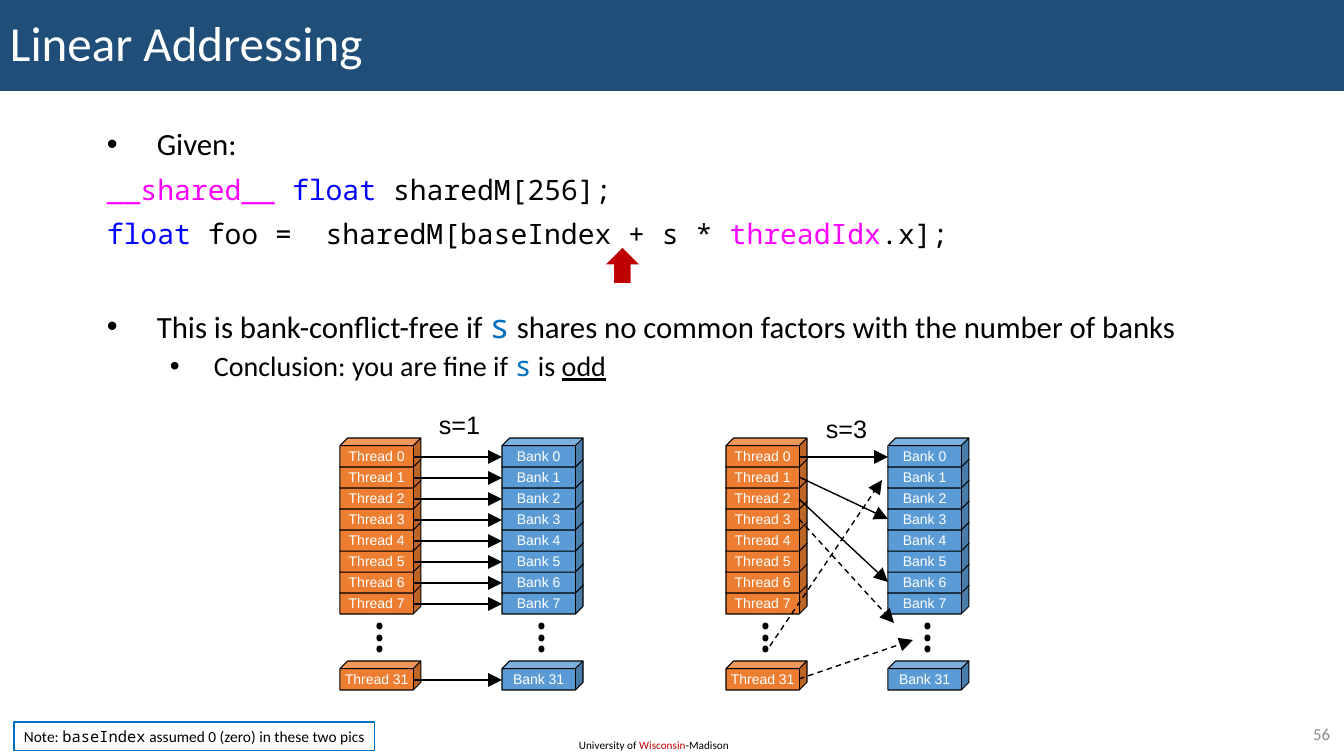
import pptx
import pptx.util
import pptx.dml.color
import pptx.enum.dml
import pptx.enum.shapes
import pptx.enum.text
import pptx.oxml.ns
import lxml.etree

PX = 12192000 / 1344
COLORS = {
    "navy": "1F4E79", "white": "FFFFFF", "black": "000000", "red": "C00000",
    "magenta": "FF00FF", "keyword": "0000FF", "accent": "0070C0",
    "thread": "ED7D31", "bank": "5B9BD5", "gray": "8C8C8C",
}
SANS, MONO, LABEL = "Calibri", "Noto Sans Mono", "Arial"
SHAPES = pptx.enum.shapes.MSO_SHAPE
ALIGN = pptx.enum.text.PP_ALIGN
MIDDLE = pptx.enum.text.MSO_ANCHOR.MIDDLE

presentation = pptx.Presentation()
presentation.slide_width = pptx.util.Emu(round(1344 * PX))
presentation.slide_height = pptx.util.Emu(round(756 * PX))
slide = presentation.slides.add_slide(presentation.slide_layouts[6])


def add_box(kind, left, top, width, height, fill=None, line=None):
    box = [round(value * PX) for value in (left, top, width, height)]
    if kind is None:
        shape = slide.shapes.add_textbox(*box)
    else:
        shape = slide.shapes.add_shape(kind, *box)
        shape.shadow.inherit = False
    if fill:
        shape.fill.solid()
        shape.fill.fore_color.rgb = pptx.dml.color.RGBColor.from_string(COLORS[fill])
    else:
        shape.fill.background()
    if line:
        shape.line.color.rgb = pptx.dml.color.RGBColor.from_string(COLORS[line])
        shape.line.width = pptx.util.Pt(0.75)
    else:
        shape.line.fill.background()
    shape.text_frame.word_wrap = True
    return shape


def add_runs(paragraph, runs, align=ALIGN.LEFT):
    paragraph.alignment = align
    for text, size, font, color in runs:
        run = paragraph.add_run()
        run.text = text
        run.font.size = pptx.util.Pt(size)
        run.font.name = font
        run.font.color.rgb = pptx.dml.color.RGBColor.from_string(COLORS[color])


footer = add_box(None, 569, 733, 174, 24)
add_runs(footer.text_frame.paragraphs[0], [
    ("University of ", 8, SANS, "black"),
    ("Wisconsin", 8, SANS, "red"),
    ("-Madison", 8, SANS, "black"),
])

title = add_box(SHAPES.RECTANGLE, 0, 0, 1344, 91, "navy")
title.text_frame.vertical_anchor = MIDDLE
title.text_frame.paragraphs[0].line_spacing = 0.9
add_runs(title.text_frame.paragraphs[0], [("Linear Addressing", 35, SANS, "white")])

body_paragraphs = [
    (50, -50, 0, [("Given:", 22, SANS, "black")]),
    (0, 0, 10, [
        ("__shared__ ", 20, MONO, "magenta"),
        ("float ", 20, MONO, "keyword"),
        ("sharedM[256];", 20, MONO, "black"),
    ]),
    (0, 0, 10, [
        ("float", 20, MONO, "keyword"),
        (" foo =  sharedM[baseIndex + s * ", 20, MONO, "black"),
        ("threadIdx", 20, MONO, "magenta"),
        (".x];", 20, MONO, "black"),
    ]),
    (50, -50, 42, [
        ("This is bank-conflict-free if ", 22, SANS, "black"),
        ("s", 24, MONO, "accent"),
        (" shares no common factors with the number of banks", 22, SANS, "black"),
    ]),
    (107, -44, 5, [
        ("Conclusion: you are fine if ", 20, SANS, "black"),
        ("s", 20, MONO, "accent"),
        (" is ", 20, SANS, "black"),
        ("odd", 20, SANS, "black"),
    ]),
]
body = add_box(None, 97, 124, 1200, 302)
for index, (margin, indent, space_before, runs) in enumerate(body_paragraphs):
    frame = body.text_frame
    paragraph = frame.add_paragraph() if index else frame.paragraphs[0]
    paragraph.line_spacing = 0.9
    paragraph.space_before = pptx.util.Pt(space_before)
    if indent:
        properties = paragraph._p.get_or_add_pPr()
        properties.set("marL", str(round(margin * PX)))
        properties.set("indent", str(round(indent * PX)))
        bullet_font = lxml.etree.SubElement(properties, pptx.oxml.ns.qn("a:buFont"))
        bullet_font.set("typeface", LABEL)
        bullet = lxml.etree.SubElement(properties, pptx.oxml.ns.qn("a:buChar"))
        bullet.set("char", "•")
    add_runs(paragraph, runs)
paragraph.level = 1
paragraph.runs[-1].font.underline = True

ROW_TOP, ROW_PITCH, LAST_TOP = 438, 21, 661
row_tops = {row: ROW_TOP + ROW_PITCH * row for row in range(8)}
row_tops[31] = LAST_TOP
BANK_OFFSET = 162

straight_arrows = [
    (414, top + 19, 502, top + 19, False) for top in row_tops.values()
]
stride_arrows = [
    (800, 457, 888, 457, False),
    (799, 477, 888, 519, False),
    (799, 499, 888, 582, False),
    (799, 519, 894, 623, True),
    (770, 646, 882, 480, True),
    (799, 679, 913, 640, True),
]
diagrams = [
    (726, "s=3", 816, 408, stride_arrows),
    (340, "s=1", 429, 404, straight_arrows),
]
for left, caption, caption_left, caption_top, arrows in diagrams:
    columns = [("Bank", "bank", left + BANK_OFFSET), ("Thread", "thread", left)]
    for name, color, column_left in columns:
        for row in sorted(row_tops, reverse=True):
            cube = add_box(SHAPES.CUBE, column_left, row_tops[row], 81, 29, color, "black")
            cube.adjustments[0] = 0.266
            frame = cube.text_frame
            frame.word_wrap = False
            frame.vertical_anchor = MIDDLE
            frame.margin_left = frame.margin_right = 0
            frame.margin_top = frame.margin_bottom = 0
            add_runs(frame.paragraphs[0], [(f"{name} {row}", 10, LABEL, "white")], ALIGN.CENTER)
        for dot_top in (623, 635, 646):
            add_box(SHAPES.OVAL, column_left + 37, dot_top, 5, 6, "black", "black")

    for x1, y1, x2, y2, dashed in arrows:
        ends = [round(value * PX) for value in (x1, y1, x2, y2)]
        arrow = slide.shapes.add_connector(pptx.enum.shapes.MSO_CONNECTOR.STRAIGHT, *ends)
        arrow.line.color.rgb = pptx.dml.color.RGBColor.from_string(COLORS["black"])
        arrow.line.width = pptx.util.Pt(1)
        if dashed:
            arrow.line.dash_style = pptx.enum.dml.MSO_LINE.DASH
        outline = arrow.line._get_or_add_ln()
        head = lxml.etree.SubElement(outline, pptx.oxml.ns.qn("a:tailEnd"))
        head.set("type", "triangle")
        head.set("w", "lg")
        head.set("len", "lg")
        lxml.etree.SubElement(arrow._element.spPr, pptx.oxml.ns.qn("a:effectLst"))

    label = add_box(None, caption_left, caption_top, 61, 40)
    label.text_frame.word_wrap = False
    label.text_frame.margin_right = 0
    add_runs(label.text_frame.paragraphs[0], [(caption, 18, LABEL, "black")])

page_number = add_box(None, 1263, 719, 77, 29)
page_number.text_frame.vertical_anchor = MIDDLE
add_runs(page_number.text_frame.paragraphs[0], [("56", 12, SANS, "gray")], ALIGN.RIGHT)

add_box(SHAPES.UP_ARROW, 606, 248, 33, 35, "red")

note = add_box(SHAPES.RECTANGLE, 14, 722, 361, 29, None, "accent")
note.text_frame.word_wrap = False
note.text_frame.vertical_anchor = pptx.enum.text.MSO_ANCHOR.TOP
add_runs(note.text_frame.paragraphs[0], [
    ("Note: ", 11, SANS, "black"),
    ("baseIndex", 11, MONO, "black"),
    (" assumed 0 (zero) in these two pics", 11, SANS, "black"),
])

presentation.save("out.pptx")
